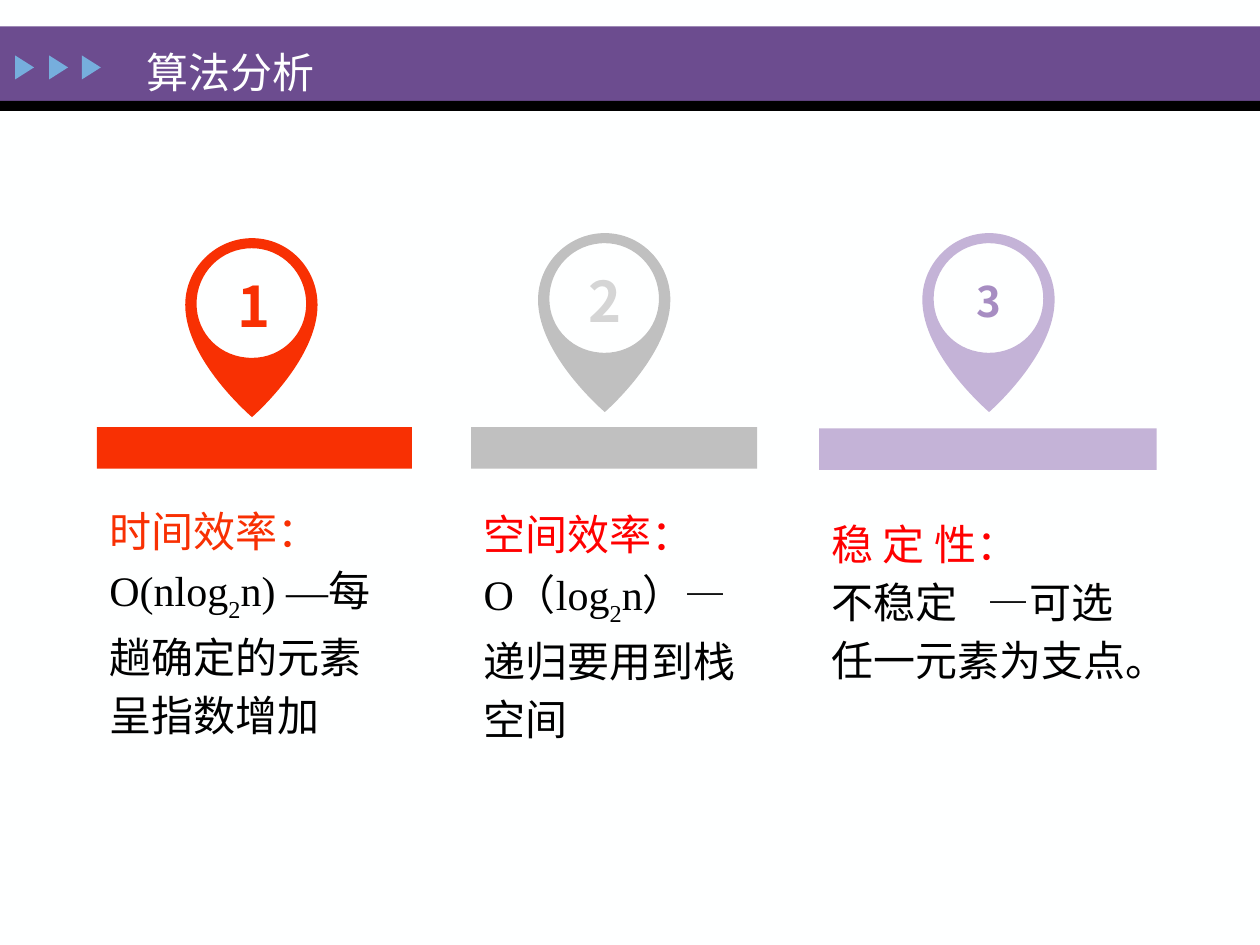
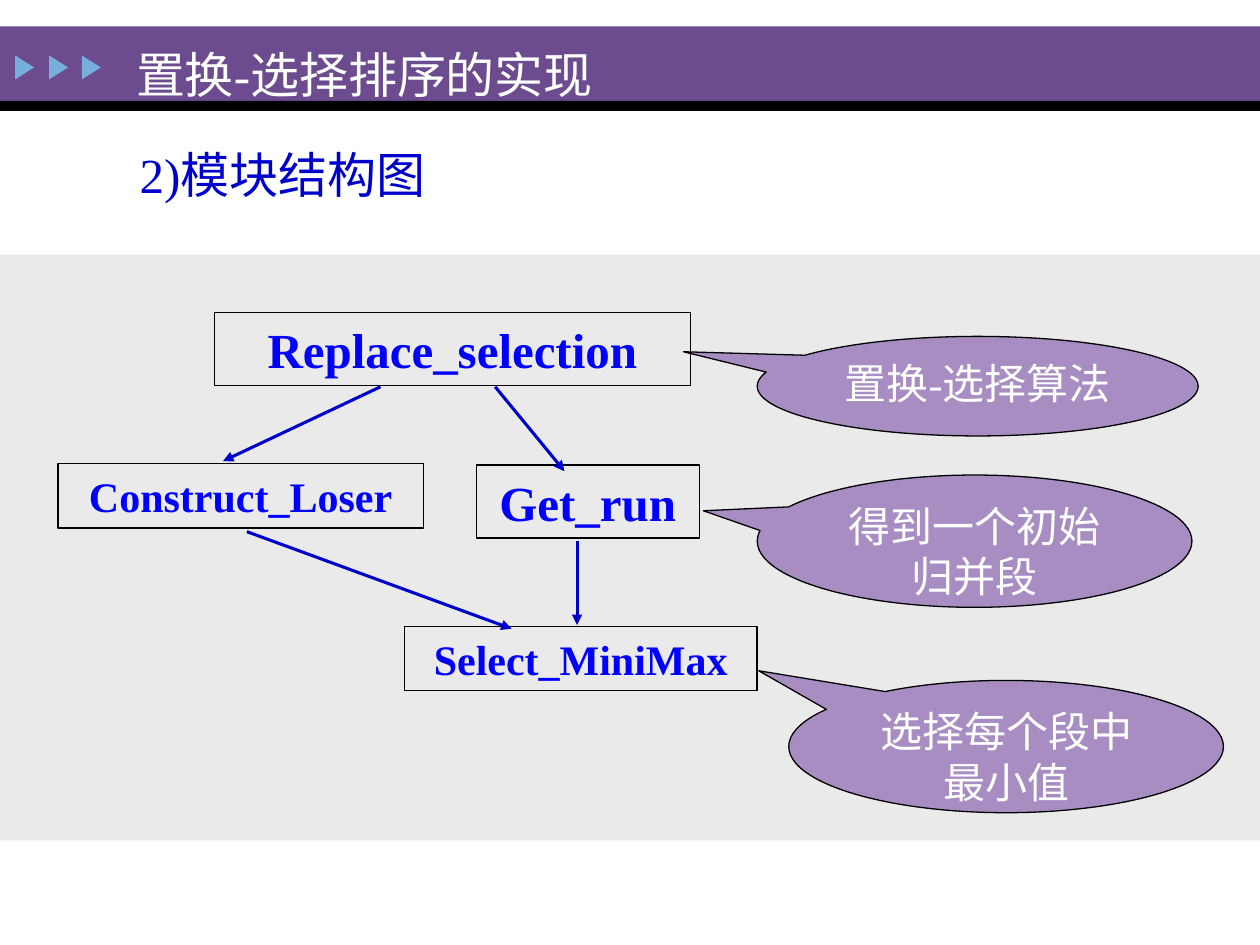
import pptx
import pptx.dml.color
import pptx.enum.shapes
import pptx.enum.text
import pptx.oxml.ns
import pptx.util
from lxml import etree

Inches = pptx.util.Inches
Pt = pptx.util.Pt
RGBColor = pptx.dml.color.RGBColor
MSO_SHAPE = pptx.enum.shapes.MSO_SHAPE
MSO_ANCHOR = pptx.enum.text.MSO_ANCHOR
PP_ALIGN = pptx.enum.text.PP_ALIGN
qn = pptx.oxml.ns.qn

# Shared colours and fonts
PAPER = RGBColor(0xFE, 0xFF, 0xFF)
PURPLE = RGBColor(0x6C, 0x4C, 0x8F)
MID_PURPLE = RGBColor(0xA7, 0x8D, 0xC2)
PALE_PURPLE = RGBColor(0xC4, 0xB3, 0xD7)
BLACK = RGBColor(0, 0, 0)
SKY = RGBColor(0x76, 0xAE, 0xDD)
ORANGE = RGBColor(0xF8, 0x30, 0x03)
RED = RGBColor(0xFF, 0, 0)
GREY = RGBColor(0xC0, 0xC0, 0xC0)
LIGHT_GREY = RGBColor(0xD5, 0xD5, 0xD5)
PANEL = RGBColor(0xEA, 0xEA, 0xEA)
NAVY = RGBColor(0, 0, 0xCC)
BLUE = RGBColor(0, 0, 0xFF)
SERIF = "Times New Roman"
SANS = "Noto Sans CJK SC"

# Pin contours relative to the pin's top left corner: start, Bezier curves
PIN_DROP = ((0.53, 0), [
    ((0.24, 0), (0, 0.24), (0, 0.53)),
    ((0, 0.97), (0.53, 1.42), (0.53, 1.42)),
    ((0.53, 1.42), (1.05, 0.97), (1.05, 0.53)),
    ((1.05, 0.24), (0.82, 0), (0.53, 0)),
])
PIN_HOLE = ((0.53, 0.95), [
    ((0.28, 0.95), (0.09, 0.76), (0.09, 0.52)),
    ((0.09, 0.28), (0.28, 0.08), (0.53, 0.08)),
    ((0.77, 0.08), (0.96, 0.28), (0.96, 0.52)),
    ((0.96, 0.76), (0.77, 0.95), (0.53, 0.95)),
])


def style_paragraph(paragraph, size, color, font=SERIF, bold=False, align=PP_ALIGN.LEFT):
    paragraph.alignment = align
    paragraph.font.size = Pt(size)
    paragraph.font.bold = bold
    paragraph.font.color.rgb = color
    paragraph.font.name = font
    defaults = paragraph._p.pPr.find(qn("a:defRPr"))
    etree.SubElement(defaults, qn("a:ea")).set("typeface", SANS)


def paint(shape, fill=None, line=None):
    shape.shadow.inherit = False
    if fill is None:
        shape.fill.background()
    else:
        shape.fill.solid()
        shape.fill.fore_color.rgb = fill
    if line is None:
        shape.line.fill.background()
    else:
        shape.line.color.rgb = line
        shape.line.width = Pt(0.75)


def add_shape(slide, kind, box, fill=None, line=None):
    shape = slide.shapes.add_shape(kind, *map(Inches, box))
    paint(shape, fill, line)
    return shape


def add_text(slide, box, text, size, color, wrap=True, **style):
    text_box = slide.shapes.add_textbox(*map(Inches, box))
    text_box.text_frame.word_wrap = wrap
    paragraph = text_box.text_frame.paragraphs[0]
    paragraph.text = text
    style_paragraph(paragraph, size, color, **style)
    return paragraph


def add_band_to_layout(slide):
    """Draw the title band and move it to the layout that the slides share."""
    band = [
        add_shape(slide, MSO_SHAPE.RECTANGLE, (0, 0.21, 10, 0.59), PURPLE),
        add_shape(slide, MSO_SHAPE.RECTANGLE, (0, 0.8, 10, 0.08), BLACK),
    ]
    for left in (0.1, 0.37, 0.63):
        arrowhead = add_shape(
            slide, MSO_SHAPE.ISOSCELES_TRIANGLE, (left, 0.46, 0.19, 0.15), SKY)
        arrowhead.rotation = 90
        band.append(arrowhead)
    layout_tree = slide.slide_layout.shapes._spTree
    for number, shape in enumerate(band, start=100):
        shape._element.nvSpPr.cNvPr.set("id", str(number))
        layout_tree.append(shape._element)


def add_titled_slide(presentation, title, box, size):
    slide = presentation.slides.add_slide(presentation.slide_layouts[5])
    slide.background.fill.solid()
    slide.background.fill.fore_color.rgb = PAPER
    holder = slide.shapes.title
    holder.left, holder.top, holder.width, holder.height = map(Inches, box)
    frame = holder.text_frame
    frame.text = title
    frame.word_wrap = True
    frame.auto_size = pptx.enum.text.MSO_AUTO_SIZE.NONE
    frame.vertical_anchor = MSO_ANCHOR.TOP
    frame.paragraphs[0].line_spacing = 1.25
    style_paragraph(frame.paragraphs[0], size, PAPER)
    return slide


def add_path_step(path, tag, points):
    step = etree.SubElement(path, qn(tag))
    for x, y in points:
        etree.SubElement(step, qn("a:pt"), x=str(Inches(x)), y=str(Inches(y)))


def add_pin(slide, left, top, color):
    # A polygon through the drop's corners sets the frame
    start, curves = PIN_DROP
    corners = [(Inches(left + x), Inches(top + y))
               for x, y in [start] + [curve[-1] for curve in curves[:-1]]]
    builder = slide.shapes.build_freeform(*corners[0])
    builder.add_line_segments(corners[1:], close=True)
    pin = builder.convert_to_shape()
    paint(pin, color)

    # Curved contours take the place of its straight sides
    path = next(pin._element.iter(qn("a:path")))
    for step in list(path):
        path.remove(step)
    for start, curves in (PIN_DROP, PIN_HOLE):
        add_path_step(path, "a:moveTo", [start])
        for curve in curves:
            add_path_step(path, "a:cubicBezTo", curve)
        etree.SubElement(path, qn("a:close"))


def add_description(slide, box, heading, heading_color, pieces, tab=None):
    paragraph = add_text(slide, box, "", 24, BLACK)
    paragraph.line_spacing = 1.15
    if tab:
        tabs = etree.Element(qn("a:tabLst"))
        etree.SubElement(tabs, qn("a:tab"), pos=str(Inches(tab)), algn="l")
        paragraph._p.pPr.find(qn("a:defRPr")).addprevious(tabs)
    run = paragraph.add_run()
    run.text = heading.rstrip("\n")
    run.font.color.rgb = heading_color
    if heading.endswith("\n"):
        paragraph.add_line_break()
    for text, is_subscript in pieces:
        run = paragraph.add_run()
        run.text = text
        if is_subscript:
            run.font._element.set("baseline", "-30000")


def fill_shape_text(shape, text, size, color, bold=False):
    frame = shape.text_frame
    frame.word_wrap = True
    frame.text = text
    style_paragraph(frame.paragraphs[0], size, color, bold=bold, align=PP_ALIGN.CENTER)


def add_module(slide, box, name, size):
    module = add_shape(slide, MSO_SHAPE.RECTANGLE, box, line=BLACK)
    module.text_frame.vertical_anchor = MSO_ANCHOR.MIDDLE
    fill_shape_text(module, name, size, BLUE, bold=True)


def add_callout(slide, box, tip, text):
    callout = add_shape(slide, MSO_SHAPE.OVAL_CALLOUT, box, MID_PURPLE, BLACK)
    callout.adjustments[0], callout.adjustments[1] = tip
    callout.text_frame.vertical_anchor = MSO_ANCHOR.TOP
    fill_shape_text(callout, text, 24, PAPER)


def add_arrow(slide, start, end):
    arrow = slide.shapes.add_connector(
        pptx.enum.shapes.MSO_CONNECTOR.STRAIGHT, *map(Inches, start + end))
    arrow.line.color.rgb = NAVY
    arrow.line.width = Pt(1.75)
    etree.SubElement(arrow.line._get_or_add_ln(), qn("a:tailEnd"), type="triangle")
    etree.SubElement(arrow._element.spPr, qn("a:effectLst"))


def build_analysis(presentation):
    slide = add_titled_slide(presentation, "算法分析", (1.06, 0.22, 2.67, 0.58), 24)
    add_band_to_layout(slide)

    # Numbered pins, each above a bar
    columns = [
        ("1", 32, ORANGE, ORANGE, (1.47, 1.89), (1.78, 2.11, 0.48, 0.64),
         (0.77, 3.39, 2.5, 0.33)),
        ("2", 32, GREY, LIGHT_GREY, (4.27, 1.85), (4.56, 2.07, 0.48, 0.64),
         (3.74, 3.39, 2.27, 0.33)),
        ("3", 24, PALE_PURPLE, MID_PURPLE, (7.32, 1.85), (7.64, 2.14, 0.41, 0.5),
         (6.5, 3.4, 2.68, 0.33)),
    ]
    for number, size, color, number_color, pin, number_box, bar in columns:
        add_pin(slide, *pin, color)
        add_shape(slide, MSO_SHAPE.RECTANGLE, bar, color)
        add_text(slide, number_box, number, size, number_color, wrap=False,
                 font=SANS, bold=True, align=PP_ALIGN.CENTER)

    # Descriptions under the bars
    add_description(slide, (0.77, 3.9, 2.5, 1.96), "时间效率：", ORANGE,
                    [("O(nlog", False), ("2", True),
                     ("n) —每趟确定的元素呈指数增加", False)])
    add_description(slide, (6.5, 4.01, 2.68, 1.49), "稳 定 性：\n", RED,
                    [("不稳定\t—可选任一元素为支点。", False)], tab=1.24)
    add_description(slide, (3.74, 3.93, 2.27, 1.96), "空间效率：\n", RED,
                    [("O（log", False), ("2", True), ("n）—递归要用到栈空间", False)])


def build_modules(presentation):
    slide = add_titled_slide(
        presentation, "置换-选择排序的实现", (0.98, 0.19, 5.31, 0.58), 28)
    add_shape(slide, MSO_SHAPE.RECTANGLE, (0, 2.02, 10, 4.65), PANEL)
    add_text(slide, (1.01, 1.1, 3.66, 0.57), "2)模块结构图", 28, NAVY)

    # Modules
    add_module(slide, (1.7, 2.48, 3.78, 0.58), "Replace_selection", 28)
    add_module(slide, (3.78, 3.69, 1.77, 0.58), "Get_run", 28)
    add_module(slide, (0.46, 3.68, 2.9, 0.51), "Construct_Loser", 24)
    add_module(slide, (3.21, 4.97, 2.8, 0.51), "Select_MiniMax", 24)

    # Explanations
    add_callout(slide, (6.01, 2.67, 3.5, 0.79), (-0.667, -0.346), "置换-选择算法")
    add_callout(slide, (6.01, 3.77, 3.45, 1.05), (-0.624, -0.23), "得到一个初始归并段")
    add_callout(slide, (6.26, 5.4, 3.45, 1.05), (-0.569, -0.573), "选择每个段中最小值")

    # Calls between modules
    add_arrow(slide, (3.93, 3.07), (4.48, 3.74))
    add_arrow(slide, (3.02, 3.07), (1.77, 3.66))
    add_arrow(slide, (4.58, 4.29), (4.58, 4.96))
    add_arrow(slide, (1.96, 4.22), (4.06, 4.99))


def main():
    presentation = pptx.Presentation()
    presentation.slide_width = Inches(10)
    presentation.slide_height = Inches(7.5)
    build_analysis(presentation)
    build_modules(presentation)
    presentation.save("out.pptx")


if __name__ == "__main__":
    main()
